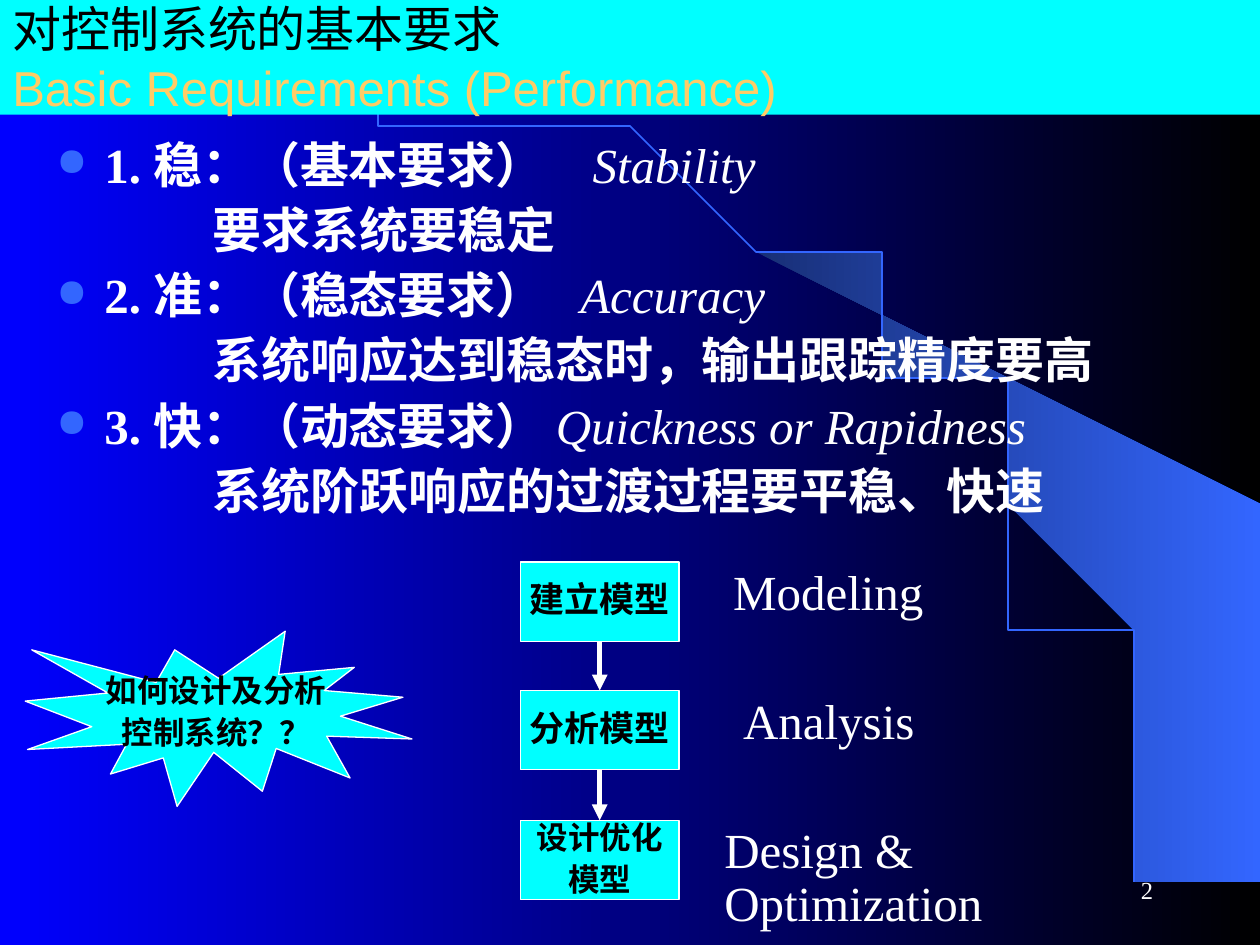
import pptx
import pptx.util
import pptx.dml.color
import pptx.enum.shapes
import pptx.enum.text
import pptx.oxml
import pptx.oxml.ns
from lxml import etree

Inches = pptx.util.Inches
Pt = pptx.util.Pt
Shape = pptx.enum.shapes.MSO_SHAPE
Align = pptx.enum.text.PP_ALIGN
Anchor = pptx.enum.text.MSO_ANCHOR

CYAN, WHITE, BLACK, BLUE, GOLD = "00FFFF", "FFFFFF", "000000", "3366FF", "FFCC66"
SERIF, SANS = "Times New Roman", "Arial"


def colour(value):
    return pptx.dml.color.RGBColor.from_string(value)


def add_xml(parent, tag, **attributes):
    return etree.SubElement(parent, pptx.oxml.ns.qn(tag), attributes)


def arc_points(end_x, end_y, steps=60):
    """Points on the quarter-ellipse curve from the top left corner."""
    for step in range(steps + 1):
        t = step / steps
        yield (3 * t * (1 - t) ** 2 * end_x * 0.55 + 3 * t ** 2 * (1 - t) * end_x + t ** 3 * end_x,
               3 * t ** 2 * (1 - t) * end_y * 0.45 + t ** 3 * end_y)


class SlideBuilder:
    """Holds the style and the slide being built."""

    def __init__(self, slide):
        self.slide = slide
        self.shapes = slide.shapes

    def gradient(self, fill, start, end):
        fill.gradient()
        fill.gradient_angle = 0
        for stop, value in zip(fill.gradient_stops, (start, end)):
            stop.color.rgb = colour(value)

    def format(self, span, size, value=WHITE, font=SERIF, bold=False, italic=False):
        span.font.size = Pt(size)
        span.font.name = font
        span.font.bold = bold
        span.font.italic = italic
        span.font.color.rgb = colour(value)

    def space(self, para, before):
        para.line_spacing = 0.9
        para.space_before = Pt(before)

    def freeform(self, points):
        builder = self.shapes.build_freeform(*points[0], scale=Inches(1))
        builder.add_line_segments(points[1:], close=points[0] == points[-1])
        shape = builder.convert_to_shape()
        shape.shadow.inherit = False
        return shape

    def text(self, words, left, top, width, height, size=28, align=Align.LEFT, wrap=False):
        box = self.shapes.add_textbox(Inches(left), Inches(top), Inches(width), Inches(height))
        box.text_frame.word_wrap = wrap
        para = box.text_frame.paragraphs[0]
        para.text = words
        para.alignment = align
        self.space(para, size / 4)
        for span in para.runs:
            self.format(span, size)
        return box

    def shape(self, kind, words, left, top, width, height, size, bordered=True):
        shape = self.shapes.add_shape(kind, Inches(left), Inches(top), Inches(width), Inches(height))
        shape.shadow.inherit = False
        shape.fill.solid()
        shape.fill.fore_color.rgb = colour(CYAN)
        if bordered:
            shape.line.color.rgb = colour(WHITE)
            shape.line.width = Pt(0.75)
        else:
            shape.line.fill.background()
        frame = shape.text_frame
        frame.text = words
        frame.word_wrap = False
        frame.vertical_anchor = Anchor.MIDDLE
        for para in frame.paragraphs:
            para.alignment = Align.CENTER
            self.space(para, size / 4)
            for span in para.runs:
                self.format(span, size, BLACK, bold=True)
        return shape

    def title(self, chinese, english):
        banner = self.shape(Shape.RECTANGLE, "", 0, 0, 10, 0.91, 28, bordered=False)
        banner.text_frame.word_wrap = True
        para = banner.text_frame.paragraphs[0]
        para.text = chinese + "\v" + english
        para.alignment = Align.LEFT
        para.line_spacing = 1.0
        para.space_before = Pt(0)
        for span, value in zip(para.runs, (BLACK, GOLD)):
            self.format(span, 28, value, SANS)

    def indent(self, para, margin, first):
        properties = para._p.get_or_add_pPr()
        properties.set("marL", str(Inches(margin)))
        properties.set("indent", str(Inches(first)))
        return properties

    def requirements(self, items, left, top, width, height):
        """Bulleted headings, each followed by an indented explanation."""
        frame = self.text("", left, top, width, height, wrap=True).text_frame
        for index, (heading, gap, term, explanation) in enumerate(items):
            para = frame.add_paragraph() if index else frame.paragraphs[0]
            self.space(para, 7)
            properties = self.indent(para, 0.38, -0.38)
            add_xml(add_xml(properties, "a:buClr"), "a:srgbClr", val=BLUE)
            add_xml(properties, "a:buSzPct", val="80000")
            add_xml(properties, "a:buChar", char="●")
            for words, is_term in ((heading, False), (" ", False), (term, True)):
                span = para.add_run()
                span.text = words
                self.format(span, 28, bold=not is_term, italic=is_term)
            # Letter spacing on the single blank sets the gap before the term.
            para.runs[1]._r.get_or_add_rPr().set("spc", str(gap * 100))

            para = frame.add_paragraph()
            para.text = explanation
            self.space(para, 7)
            add_xml(self.indent(para, 1.24, 0), "a:buNone")
            self.format(para.runs[0], 28, bold=True)

    def arrow(self, upper, lower):
        """Arrow from the bottom of one box to the top of the next."""
        line = self.shapes.add_connector(pptx.enum.shapes.MSO_CONNECTOR.STRAIGHT, 0, 0, 0, 0)
        line.begin_connect(upper, 2)
        line.end_connect(lower, 0)
        line.line.color.rgb = colour(WHITE)
        line.line.width = Pt(3)
        add_xml(line.line._get_or_add_ln(), "a:tailEnd", type="triangle")
        add_xml(line._element.spPr, "a:effectLst")


def main():
    deck = pptx.Presentation()
    deck.slide_width, deck.slide_height = Inches(10), Inches(7.5)
    page = SlideBuilder(deck.slides.add_slide(deck.slide_layouts[6]))
    page.gradient(page.slide.background.fill, "0000FF", BLACK)

    beam = page.freeform([
        (9.2, 7.48), (9.99, 7.49), (9.99, 4.23), (5.89, 1.73), (6.24, 1.99), (6.53, 2.22),
        (6.85, 2.5), (7.16, 2.8), (7.62, 3.3), (8.03, 3.84), (8.32, 4.31), (8.58, 4.79),
        (8.78, 5.28), (8.93, 5.72), (9.03, 6.09), (9.13, 6.56), (9.17, 6.96), (9.2, 7.48)])
    page.gradient(beam.fill, "182F76", BLUE)
    beam.line.fill.background()
    arc = page.freeform(list(arc_points(9.2, 7.49)))
    arc.fill.background()
    arc.line.color.rgb = colour(BLUE)
    arc.line.width = Pt(1)

    number = page.text("2", 7.17, 6.83, 2.08, 0.5, size=14, align=Align.RIGHT, wrap=True)
    number.text_frame.vertical_anchor = Anchor.MIDDLE
    number.text_frame.paragraphs[0].space_before = Pt(0)
    page.requirements([
        ("1. 稳：（基本要求）", 21, "Stability", "要求系统要稳定"),
        ("2. 准：（稳态要求）", 14, "Accuracy", "系统响应达到稳态时，输出跟踪精度要高"),
        ("3. 快：（动态要求）", 0, "Quickness or Rapidness", "系统阶跃响应的过渡过程要平稳、快速"),
    ], 0.35, 1.07, 9.06, 3.31)
    page.title("对控制系统的基本要求", "Basic Requirements (Performance)")
    page.shape(Shape.EXPLOSION1, "如何设计及分析\n控制系统？？", 0.2, 5.01, 3.07, 1.39, 18)

    previous = None
    for top, step, size, label, left, width in (
            (4.46, "建立模型", 20, "Modeling", 5.72, 1.71),
            (5.48, "分析模型", 20, "Analysis", 5.8, 1.56),
            (6.51, "设计优化\n模型", 18, "Design & Optimization", 5.65, 3.84)):
        process = page.shape(Shape.FLOWCHART_PROCESS, step, 4.13, top, 1.26, 0.63, size)
        page.text(label, left, top, width, 0.52)
        if previous is not None:
            page.arrow(previous, process)
        previous = process

    deck.save("out.pptx")


if __name__ == "__main__":
    main()
